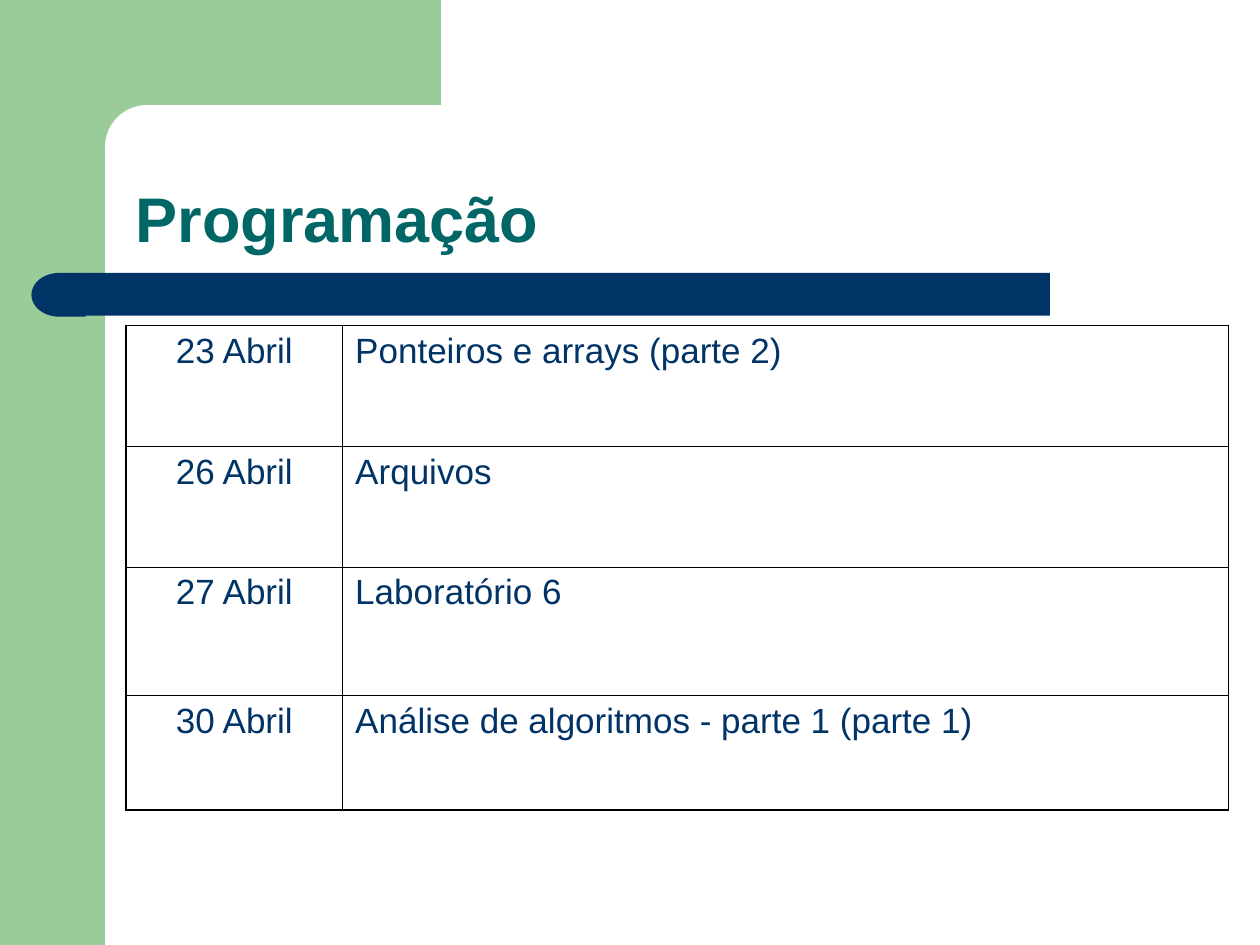
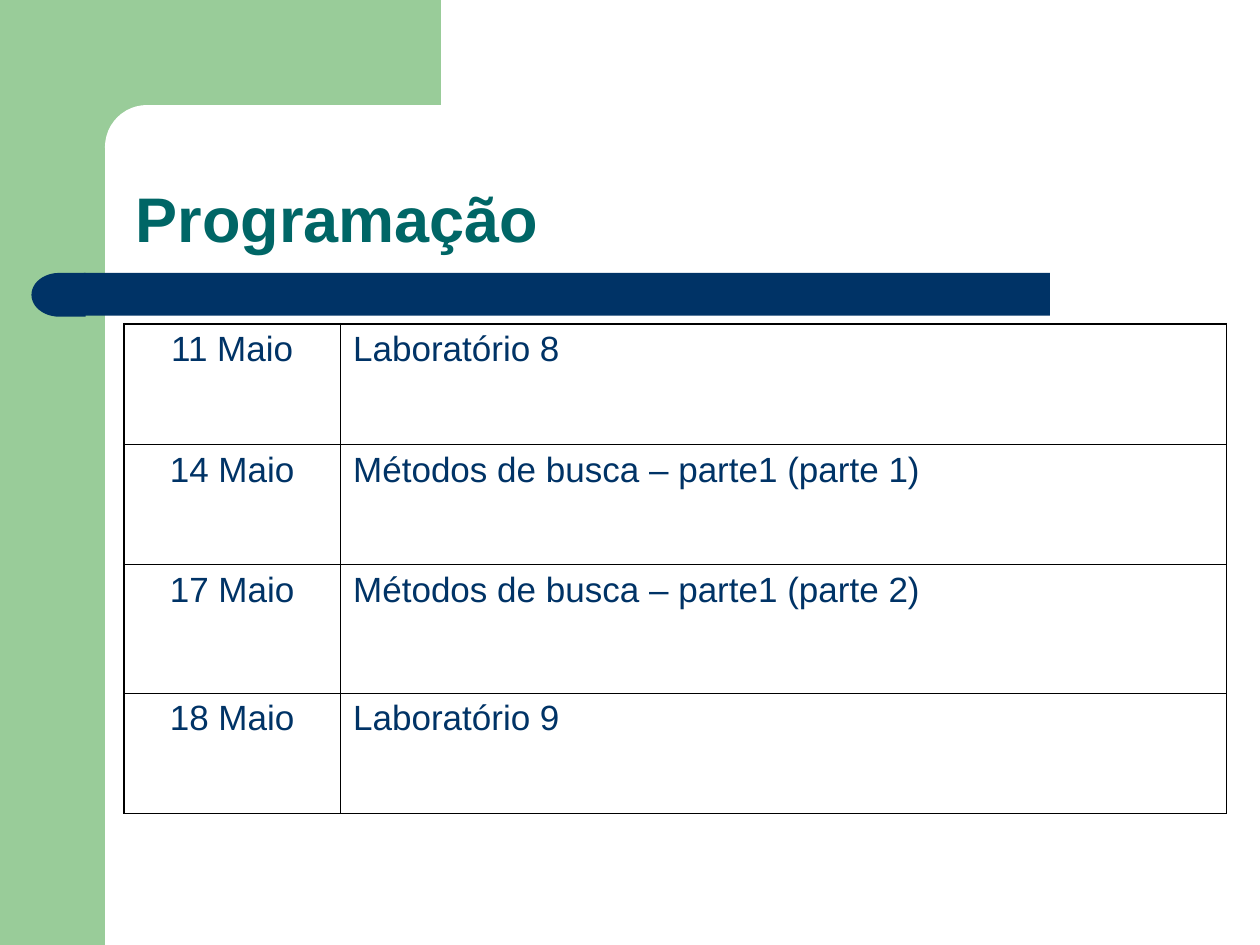
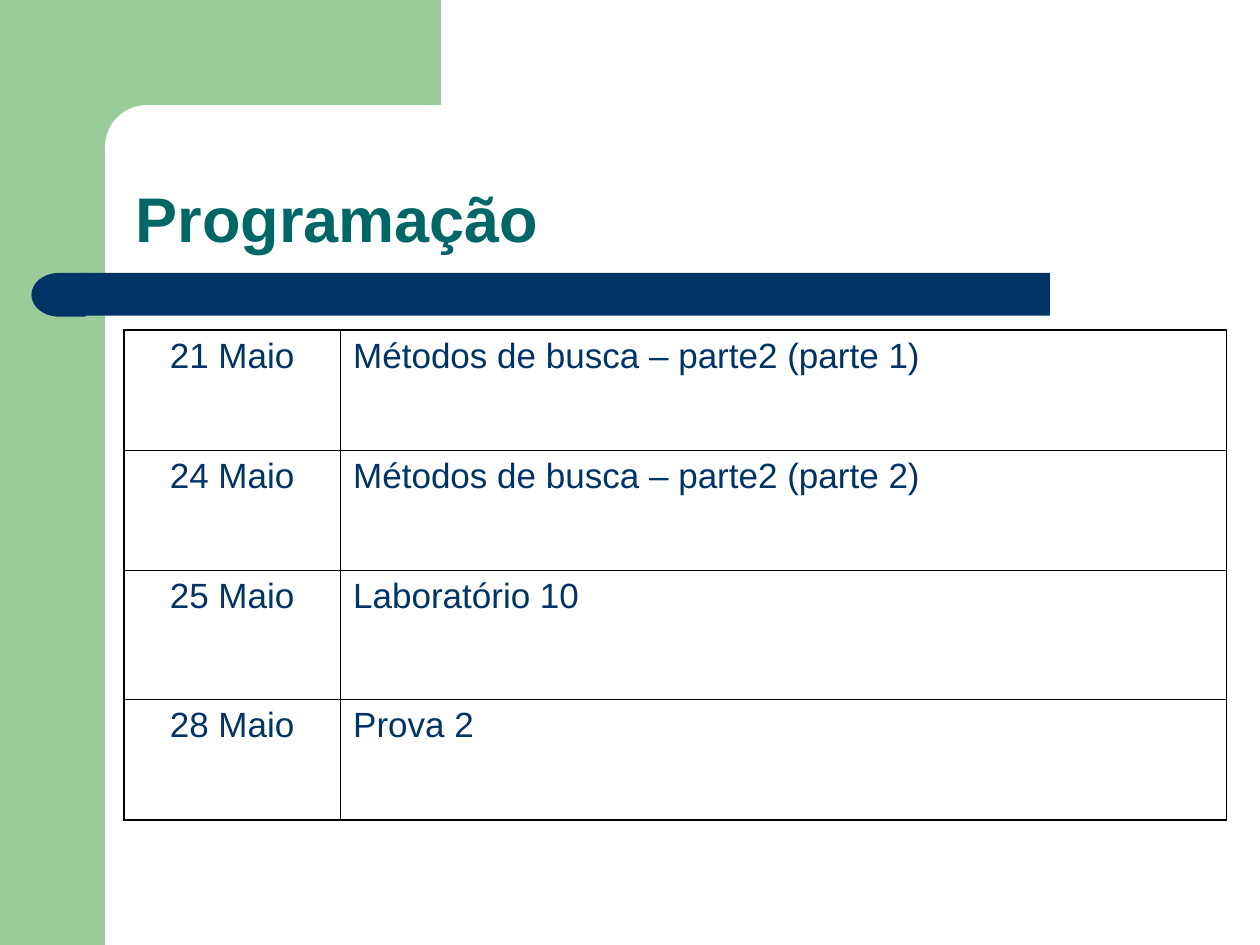
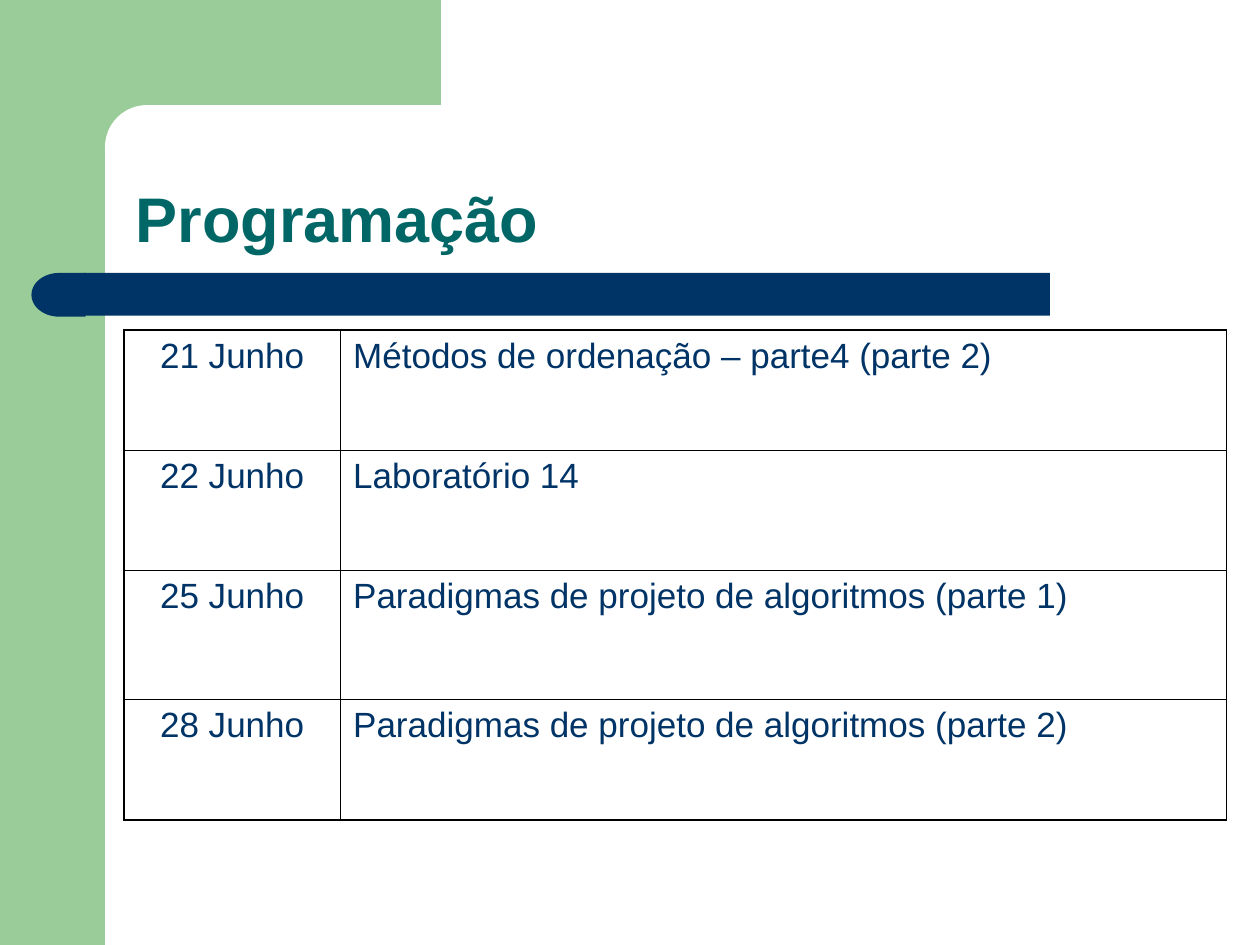
from math import cos, pi, sin

from lxml.etree import SubElement
from pptx import Presentation
from pptx.dml.color import RGBColor
from pptx.enum.shapes import MSO_SHAPE as Preset
from pptx.enum.text import MSO_ANCHOR as Anchor, MSO_AUTO_SIZE as AutoSize, PP_ALIGN as Align
from pptx.oxml import parse_xml
from pptx.oxml.ns import nsdecls, qn
from pptx.util import Pt

GREEN = RGBColor(0x99, 0xCC, 0x99)
NAVY = RGBColor(0x00, 0x33, 0x66)
TEAL = RGBColor(0x00, 0x66, 0x66)
WHITE = RGBColor(0xFF, 0xFF, 0xFF)
BLACK = RGBColor(0x00, 0x00, 0x00)
FONT = "Arial"
WIDTH, HEIGHT = 720, 540
TITLE_BOX = (70.5, 60.5, 630, 90)
COLUMNS = (123.8, 506.2)
ROWS = (69, 68.5, 73.5, 69)
OUTER, INNER = 1.08, 0.45

# Each schedule: table left, table top, row heights, (date, topic) rows
SCHEDULES = [
    (72, 186, (69, 69, 73.5, 65.5), [
        ("23 Abril", "Ponteiros e arrays (parte 2)"),
        ("26 Abril", "Arquivos"),
        ("27 Abril", "Laboratório 6"),
        ("30 Abril", "Análise de algoritmos - parte 1 (parte 1)"),
    ]),
    (70.8, 185, ROWS, [
        ("11 Maio", "Laboratório 8"),
        ("14 Maio", "Métodos de busca – parte1 (parte 1)"),
        ("17 Maio", "Métodos de busca – parte1 (parte 2)"),
        ("18 Maio", "Laboratório 9"),
    ]),
    (70.8, 188.6, ROWS, [
        ("21 Maio", "Métodos de busca – parte2 (parte 1)"),
        ("24 Maio", "Métodos de busca – parte2 (parte 2)"),
        ("25 Maio", "Laboratório 10"),
        ("28 Maio", "Prova 2"),
    ]),
    (70.8, 188.6, ROWS, [
        ("21 Junho", "Métodos de ordenação – parte4 (parte 2)"),
        ("22 Junho", "Laboratório 14"),
        ("25 Junho", "Paradigmas de projeto de algoritmos (parte 1)"),
        ("28 Junho", "Paradigmas de projeto de algoritmos (parte 2)"),
    ]),
]


def write(frame, text, size, color, bold=False, align=Align.LEFT, spacing=None):
    para = frame.paragraphs[0]
    para.alignment = align
    if spacing:
        para.line_spacing = spacing
    span = para.add_run()
    span.text = text
    span.font.name = FONT
    span.font.size = Pt(size)
    span.font.bold = bold
    span.font.color.rgb = color


def paint(shape, color):
    shape.shadow.inherit = False
    shape.fill.solid()
    shape.fill.fore_color.rgb = color
    shape.line.fill.background()
    return shape


def add_block(page, box, color, preset=Preset.RECTANGLE):
    return paint(page.shapes.add_shape(preset, *map(Pt, box)), color)


def add_band_cap(page, left, top, width, height, curve):
    """Draw the band's left end: a half ellipse, curve wide, then a straight part."""
    middle = height / 2
    angles = [pi / 2 + pi * step / 24 for step in range(25)]
    arc = [(left + curve + curve * cos(angle), top + middle - middle * sin(angle))
           for angle in angles]
    outline = arc + [(left + width, top + height), (left + width, top)]
    points = [(Pt(x), Pt(y)) for x, y in outline]
    builder = page.shapes.build_freeform(*points[0], scale=1.0)
    builder.add_line_segments(points[1:], close=True)
    return paint(builder.convert_to_shape(), NAVY)


def decorate_layout(layout, page):
    """Draw the frame and band on a page, then move them behind the layout's text."""
    parts = [
        add_block(page, (0, 0, 60, HEIGHT), GREEN),
        add_block(page, (54, 0, 198, 84), GREEN),
        add_block(page, (60, 60, 402, 48), WHITE, Preset.ROUNDED_RECTANGLE),
        add_block(page, (48, 156, 552, 24.5), NAVY),
        add_band_cap(page, 18, 156, 31, 25, 15.8),
    ]
    parts[2].adjustments[0] = 0.5
    for index, part in enumerate(parts):
        layout.shapes.element.insert(2 + index, part.element)


def fill_title(page, text, box):
    title = page.shapes.title
    title.left, title.top, title.width, title.height = map(Pt, box)
    frame = title.text_frame
    frame.auto_size = AutoSize.NONE
    frame.vertical_anchor = Anchor.BOTTOM
    write(frame, text, 36, TEAL, bold=True, spacing=0.93)


def set_borders(cell, **widths):
    """Give the cell's L, R, T and B sides a black line of the given widths."""
    properties = cell._tc.get_or_add_tcPr()
    for index, (side, width) in enumerate(widths.items()):
        line = parse_xml(f'<a:ln{side} {nsdecls("a")} w="{Pt(width)}"/>')
        fill = SubElement(line, qn("a:solidFill"))
        SubElement(fill, qn("a:srgbClr"), val=str(BLACK))
        properties.insert(index, line)


def add_schedule(page, left, top, heights, entries):
    box = (left, top, sum(COLUMNS), sum(heights))
    table = page.shapes.add_table(len(entries), len(COLUMNS), *map(Pt, box)).table
    table.first_row = table.horz_banding = False
    for column, width in zip(table.columns, COLUMNS):
        column.width = Pt(width)
    last = len(entries) - 1
    for index, (entry, height) in enumerate(zip(entries, heights)):
        table.rows[index].height = Pt(height)
        for column, align in enumerate((Align.CENTER, Align.LEFT)):
            cell = table.cell(index, column)
            cell.fill.background()
            write(cell.text_frame, entry[column], 20, NAVY, align=align)
            set_borders(cell,
                        L=INNER if column else OUTER,
                        R=OUTER if column else INNER,
                        T=INNER if index else OUTER,
                        B=OUTER if index == last else INNER)


def main():
    deck = Presentation()
    deck.slide_width, deck.slide_height = Pt(WIDTH), Pt(HEIGHT)
    layout = deck.slide_layouts.get_by_name("Title Only")
    pages = [deck.slides.add_slide(layout) for _ in SCHEDULES]
    decorate_layout(layout, pages[0])
    for page, schedule in zip(pages, SCHEDULES):
        fill_title(page, "Programação", TITLE_BOX)
        add_schedule(page, *schedule)
    deck.save("out.pptx")


if __name__ == "__main__":
    main()
